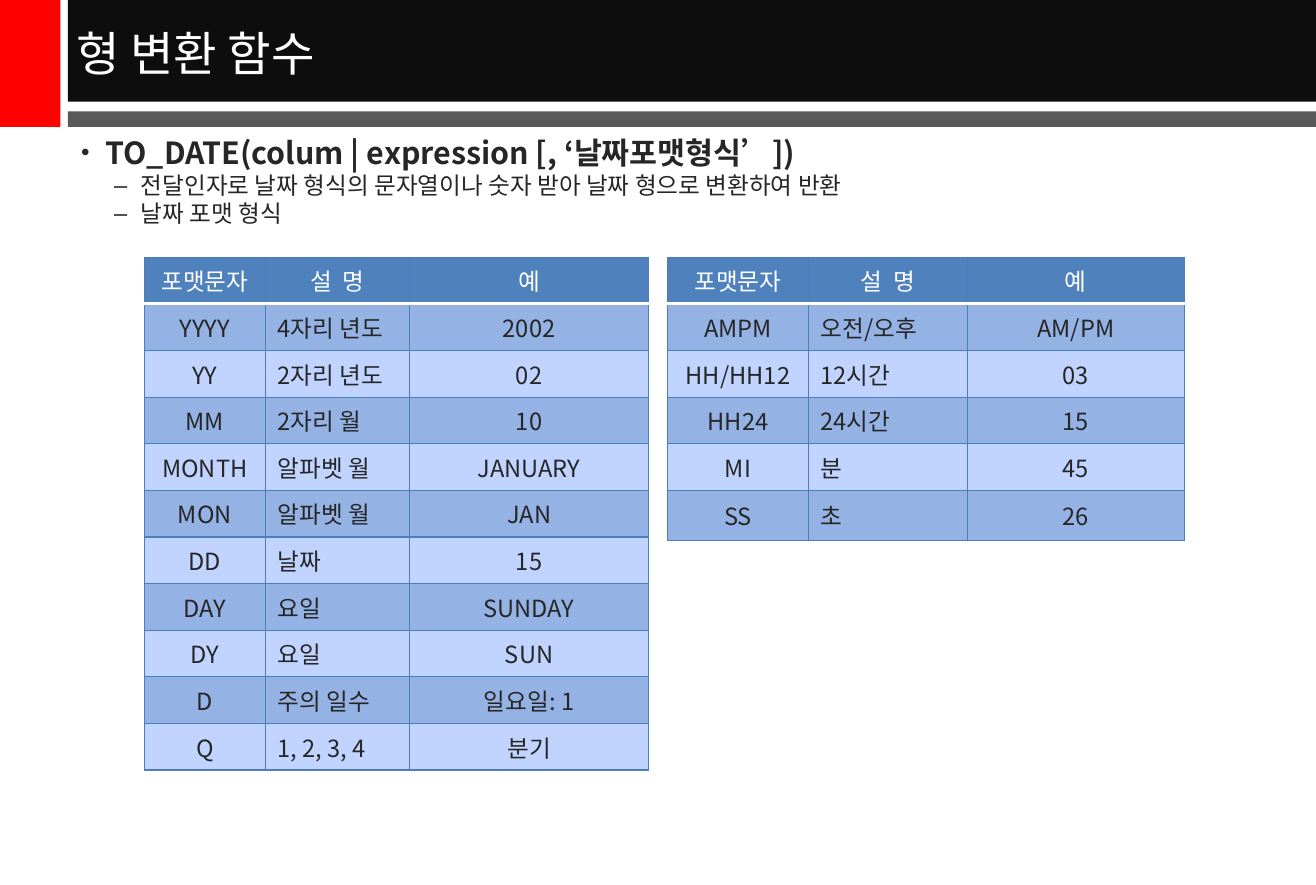
from lxml import etree
from pptx import Presentation
from pptx import util as u
from pptx.dml.color import RGBColor
from pptx.enum import shapes, text
from pptx.oxml import ns

WIDE, HIGH = u.Inches(10.83), u.Inches(7.28)
FONT = "Noto Sans CJK KR"
WHITE = RGBColor(0xFF, 0xFF, 0xFF)
RED = RGBColor(0xFF, 0x00, 0x00)
BLACK = RGBColor(0x0D, 0x0D, 0x0D)
GREY = RGBColor(0x59, 0x59, 0x59)
INK = RGBColor(0x26, 0x26, 0x26)
BLUE = RGBColor(0x4F, 0x81, 0xBD)
EDGE = RGBColor(0x4B, 0x7E, 0xBC)
DARK = RGBColor(0x94, 0xB2, 0xE4)
PALE = RGBColor(0xC0, 0xD4, 0xFF)

ROW = 5.27
TABLE_TOP = 29.07
HEAD = ("포맷문자", "설  명", "예")
DATES = [
    ("YYYY", "4자리 년도", "2002"),
    ("YY", "2자리 년도", "02"),
    ("MM", "2자리 월", "10"),
    ("MONTH", "알파벳 월", "JANUARY"),
    ("MON", "알파벳 월", "JAN"),
    ("DD", "날짜", "15"),
    ("DAY", "요일", "SUNDAY"),
    ("DY", "요일", "SUN"),
    ("D", "주의 일수", "일요일: 1"),
    ("Q", "1, 2, 3, 4", "분기"),
]
TIMES = [
    ("AMPM", "오전/오후", "AM/PM"),
    ("HH/HH12", "12시간", "03"),
    ("HH24", "24시간", "15"),
    ("MI", "분", "45"),
    ("SS", "초", "26"),
]
# Text, level, size in points
POINTS = [
    ("TO_DATE(colum | expression [, ‘날짜포맷형식’])", 0, 18),
    ("전달인자로 날짜 형식의 문자열이나 숫자 받아 날짜 형으로 변환하여 반환", 1, 14),
    ("날짜 포맷 형식", 1, 14),
]
# Left margin and hanging indent in inches, bullet sign, bullet size
LEVELS = [(0.2, -0.2, "•", 80), (0.49, -0.22, "–", 100)]


def across(share):
    """Turn a percentage of the slide's width into a length."""
    return u.Emu(round(WIDE * share / 100))


def down(share):
    """Turn a percentage of the slide's height into a length."""
    return u.Emu(round(HIGH * share / 100))


def place(x, y, w, h):
    """Turn four percentages into left, top, width and height."""
    return across(x), down(y), across(w), down(h)


def node(parent, tag, **attrs):
    """Append a DrawingML element and return it."""
    child = etree.SubElement(parent, ns.qn("a:" + tag))
    for key, value in attrs.items():
        child.set(key, str(value))
    return child


def style(para, size, color, bold=False):
    """Format every run of a paragraph."""
    for run in para.runs:
        font = run.font
        font.name, font.size, font.bold = FONT, u.Pt(size), bold
        font.color.rgb = color
        node(font._element, "ea", typeface=FONT)


def bar(slide, color, *area):
    """Draw a plain filled rectangle."""
    block = slide.shapes.add_shape(shapes.MSO_SHAPE.RECTANGLE, *place(*area))
    block.shadow.inherit = False
    block.fill.solid()
    block.fill.fore_color.rgb = color
    block.line.fill.background()


def frame(slide, *area):
    """Add a wrapping text box and return its text frame."""
    box = slide.shapes.add_textbox(*place(*area)).text_frame
    box.word_wrap = True
    return box


def title(slide, words):
    """Write the heading on the black bar."""
    box = frame(slide, 4.9, 0.3, 95.1, 11.2)
    box.vertical_anchor = text.MSO_ANCHOR.MIDDLE
    box.text = words
    style(box.paragraphs[0], 28, WHITE)


def bullets(slide):
    """Write the bulleted outline."""
    box = frame(slide, 5.26, 15.2, 90.8, 13.5)
    box.text = "\n".join(words for words, _, _ in POINTS)
    for para, (_, level, size) in zip(box.paragraphs, POINTS):
        left, hang, sign, scale = LEVELS[level]
        para.level = level
        para.line_spacing = 0.83
        para.space_before = u.Pt(size * 0.2)
        style(para, size, INK, bold=level == 0)
        props = para._p.get_or_add_pPr()
        props.set("marL", str(u.Inches(left)))
        props.set("indent", str(u.Inches(hang)))
        node(props, "buSzPct", val=scale * 1000)
        node(props, "buFont", typeface="Arial")
        node(props, "buChar", char=sign)


def border(cell, row):
    """Line a cell, with white between header and body."""
    props = cell._tc.get_or_add_tcPr()
    seam = {0: "lnB", 1: "lnT"}.get(row)
    for spot, side in enumerate(("lnL", "lnR", "lnT", "lnB")):
        width, color = (2, WHITE) if side == seam else (0.75, EDGE)
        line = node(props, side, w=u.Pt(width))
        node(node(line, "solidFill"), "srgbClr", val=color)
        props.insert(spot, line)


def grid(slide, left, widths, rows, last=ROW):
    """Build a banded table under the shared header."""
    data = [HEAD, *rows]
    area = place(left, TABLE_TOP, sum(widths), ROW * len(rows) + last)
    table = slide.shapes.add_table(len(data), len(HEAD), *area).table
    for col, width in zip(table.columns, widths):
        col.width = across(width)
    for r, values in enumerate(data):
        table.rows[r].height = down(last if r == len(rows) else ROW)
        band = BLUE if r == 0 else DARK if r % 2 else PALE
        for c, value in enumerate(values):
            cell = table.cell(r, c)
            cell.text = value
            cell.vertical_anchor = text.MSO_ANCHOR.MIDDLE
            cell.margin_top = cell.margin_bottom = u.Inches(0.03)
            cell.fill.solid()
            cell.fill.fore_color.rgb = band
            border(cell, r)
            para = cell.text_frame.paragraphs[0]
            mid = r == 0 or c != 1
            para.alignment = text.PP_ALIGN.CENTER if mid else text.PP_ALIGN.LEFT
            style(para, 14, INK if r else WHITE)


def main():
    """Build and save the slide."""
    deck = Presentation()
    deck.slide_width, deck.slide_height = WIDE, HIGH
    slide = deck.slides.add_slide(deck.slide_layouts[6])
    bar(slide, RED, 0, 0, 4.6, 14.35)
    bar(slide, BLACK, 5.17, 0, 94.83, 11.5)
    bar(slide, GREY, 5.17, 12.6, 94.83, 1.75)
    title(slide, "형 변환 함수")
    bullets(slide)
    grid(slide, 10.97, (9.2, 10.94, 18.2), DATES)
    grid(slide, 50.72, (10.72, 12.06, 16.5), TIMES, last=5.65)
    deck.save("out.pptx")


main()
